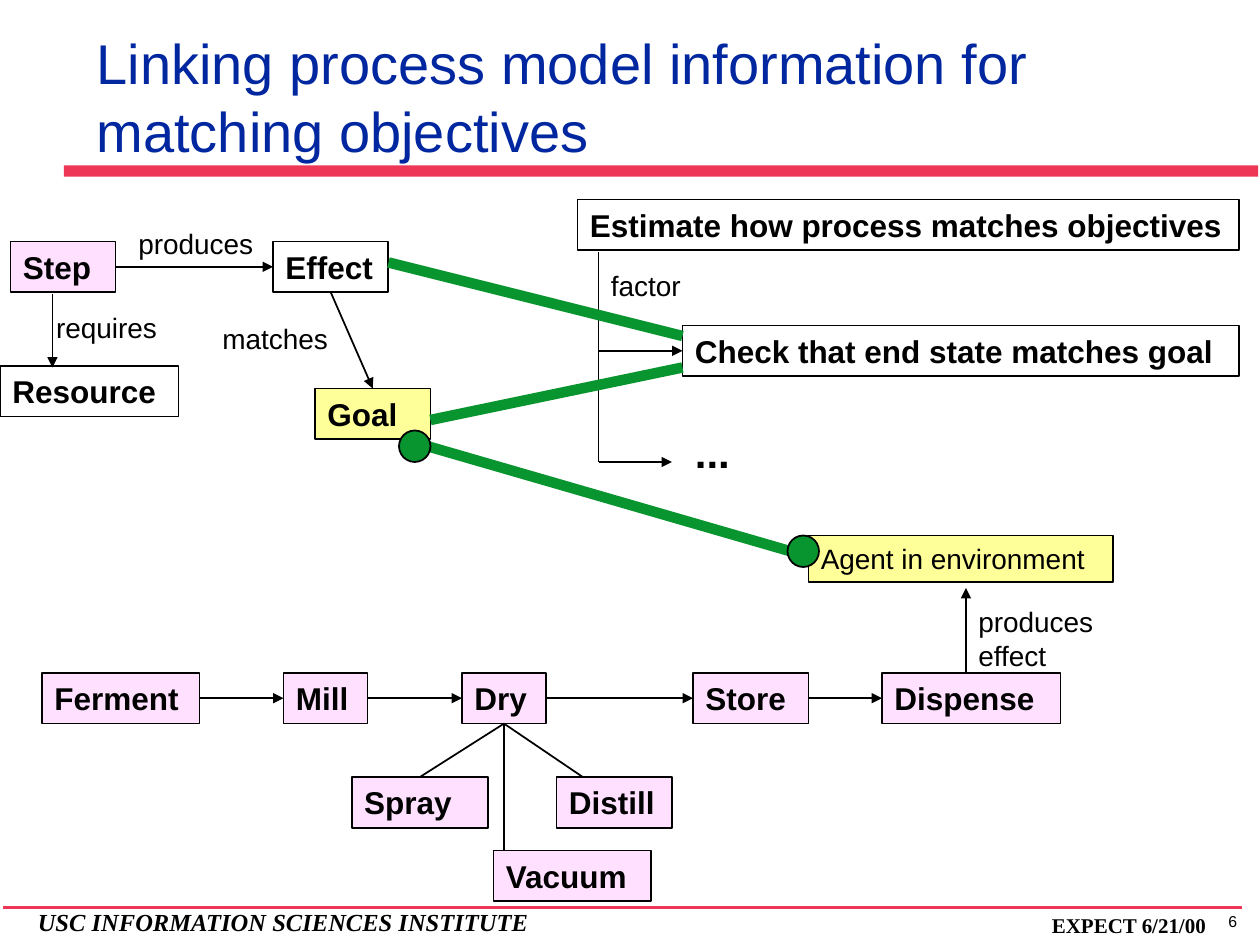
import itertools
import pptx
import pptx.util
import pptx.dml.color
import pptx.enum.shapes
import pptx.enum.text
from lxml import etree
from pptx.oxml.ns import qn

Pt = pptx.util.Pt
SHAPE = pptx.enum.shapes.MSO_SHAPE
ALIGN = pptx.enum.text.PP_ALIGN
ANCHOR = pptx.enum.text.MSO_ANCHOR

HUES = {"pink": "FFE1FF", "gold": "FFFF99", "white": "FFFFFF", "red": "EE3757",
        "green": "08942F", "black": "000000", "blue": "00279F"}
BOLD = {"name": "Arial", "size": Pt(18), "bold": True}
PLAIN = {"name": "Arial", "size": Pt(16), "bold": False}
DOTS = {"name": "Arial", "size": Pt(24), "bold": True}
HEAD = {"name": "Arial", "size": Pt(32), "bold": False}
PAGE = {"name": "Arial", "size": Pt(9), "bold": False}
DATE = {"name": "Times New Roman", "size": Pt(12), "bold": True}
FOOT = {"name": "Times New Roman", "size": Pt(14), "bold": True, "italic": True}
FRAME = {"margin_left": Pt(7.2), "margin_right": Pt(7.2), "margin_top": Pt(3.6),
         "margin_bottom": Pt(3.6), "word_wrap": True,
         "auto_size": pptx.enum.text.MSO_AUTO_SIZE.NONE}

TITLE = "Linking process model information for matching objectives"
ROW = [("Ferment", 24, 90), ("Mill", 162, 48), ("Dry", 264, 48),
       ("Store", 396, 66), ("Dispense", 504, 102)]
ROW_TOP, HIGH = 384.5, 29
BOXES = [(name, x, ROW_TOP, wide, HIGH, "pink", BOLD) for name, x, wide in ROW] + [
    ("Spray", 201, 444, 78, HIGH, "pink", BOLD),
    ("Distill", 318, 444, 66, HIGH, "pink", BOLD),
    ("Vacuum", 282, 486, 90, HIGH, "pink", BOLD),
    ("Step", 6, 138, 60, HIGH, "pink", BOLD),
    ("Effect", 156, 138, 66, HIGH, "white", BOLD),
    ("Resource", 0, 209, 102, HIGH, "white", BOLD),
    ("Goal", 180, 222, 66, HIGH, "gold", BOLD),
    ("Estimate how process matches objectives", 330, 114, 378, HIGH, "white", BOLD),
    ("Check that end state matches goal", 390, 186, 318, HIGH, "white", BOLD),
    ("Agent in environment", 462, 306, 174, 26.5, "gold", PLAIN),
]
CHECK = "Check that end state matches goal"
TOP, LEFT, BASE, RIGHT = range(4)
ARROWS = [((a[0], RIGHT), (b[0], LEFT)) for a, b in itertools.pairwise(ROW)] + [
    (("Step", RIGHT), ("Effect", LEFT)),
    (("Effect", BASE), ("Goal", TOP)),
    ((30, 168), (30, 210)),
    ((342, 200.5), (CHECK, LEFT)),
    ((342, 264), (384, 264)),
    ((552, 384), (552, 336)),
]
LINES = [
    (("Dry", BASE), ("Spray", TOP)),
    (("Dry", BASE), (288, 486)),
    (("Dry", BASE), (333, 444)),
    ((342, 144), (342, 264)),
]
BANDS = [((390, 192), (222, 150)), ((390, 210), (246, 240)), ((462, 318), (234, 252))]
KNOBS = [(228, 246), (450, 306)]
NOTES = [
    ("produces", 72, 126, 86, 27, PLAIN, ALIGN.LEFT),
    ("factor", 342, 150, 60, 27, PLAIN, ALIGN.LEFT),
    ("matches", 120, 180, 81, 27, PLAIN, ALIGN.LEFT),
    ("requires", 25, 174, 78, 27, PLAIN, ALIGN.LEFT),
    ("produces\neffect", 552, 342, 86, 46, PLAIN, ALIGN.LEFT),
    ("...", 390, 240, 40, 36, DOTS, ALIGN.LEFT),
    ("USC INFORMATION SCIENCES INSTITUTE", 14.5, 515, 314, 24, FOOT, ALIGN.LEFT),
    ("EXPECT 6/21/00", 594, 518, 114, 22, DATE, ALIGN.LEFT),
    ("6", 689, 517.5, 31, 18, PAGE, ALIGN.CENTER),
]


def color(hue):
    return pptx.dml.color.RGBColor.from_string(HUES[hue])


def write(shape, text, style, align=ALIGN.LEFT, hue="black", anchor=ANCHOR.TOP):
    frame = shape.text_frame
    for key, value in {**FRAME, "vertical_anchor": anchor, "text": text}.items():
        setattr(frame, key, value)
    for para in frame.paragraphs:
        para.alignment = align
        for key, value in style.items():
            setattr(para.font, key, value)
        para.font.color.rgb = color(hue)


def block(slide, kind, area, hue, edge=None):
    shape = slide.shapes.add_shape(kind, *map(Pt, area))
    shape.shadow.inherit = False
    shape.fill.solid()
    shape.fill.fore_color.rgb = color(hue)
    if edge:
        shape.line.color.rgb = color(edge)
        shape.line.width = Pt(1)
    else:
        shape.line.fill.background()
    return shape


def link(slide, boxes, start, end, hue="black", width=1, arrow=False):
    spots = [(0, 0) if spot[0] in boxes else spot for spot in (start, end)]
    line = slide.shapes.add_connector(pptx.enum.shapes.MSO_CONNECTOR.STRAIGHT,
                                      *map(Pt, spots[0] + spots[1]))
    for spot, join in ((start, line.begin_connect), (end, line.end_connect)):
        if spot[0] in boxes:
            join(boxes[spot[0]], spot[1])
    line.line.color.rgb = color(hue)
    line.line.width = Pt(width)
    if arrow:
        tail = etree.SubElement(line.line._get_or_add_ln(), qn("a:tailEnd"))
        tail.set("type", "triangle")
    etree.SubElement(line._element.spPr, qn("a:effectLst"))


def main():
    deck = pptx.Presentation()
    deck.slide_width, deck.slide_height = Pt(720), Pt(540)
    slide = deck.slides.add_slide(deck.slide_layouts[5])
    title = slide.shapes.title
    for key, value in zip(("left", "top", "width", "height"), (48, 6.5, 610.5, 90.5)):
        setattr(title, key, Pt(value))
    write(title, TITLE, HEAD, hue="blue", anchor=ANCHOR.BOTTOM)
    block(slide, SHAPE.RECTANGLE, (36.5, 94.5, 682.5, 6.5), "red")

    boxes = {}
    for name, x, y, wide, high, hue, style in BOXES:
        boxes[name] = block(slide, SHAPE.RECTANGLE, (x, y, wide, high), hue, "black")
        write(boxes[name], name, style)
    link(slide, boxes, (710, 518.5), (1.5, 518.5), "red", 2)
    for start, end in LINES:
        link(slide, boxes, start, end)
    for start, end in ARROWS:
        link(slide, boxes, start, end, arrow=True)
    for start, end in BANDS:
        link(slide, boxes, start, end, "green", 6)
    for x, y in KNOBS:
        block(slide, SHAPE.OVAL, (x, y, 18, 18), "green", "black")
    for text, x, y, wide, high, style, align in NOTES:
        write(slide.shapes.add_textbox(*map(Pt, (x, y, wide, high))), text, style, align)
    deck.save("out.pptx")


if __name__ == "__main__":
    main()
